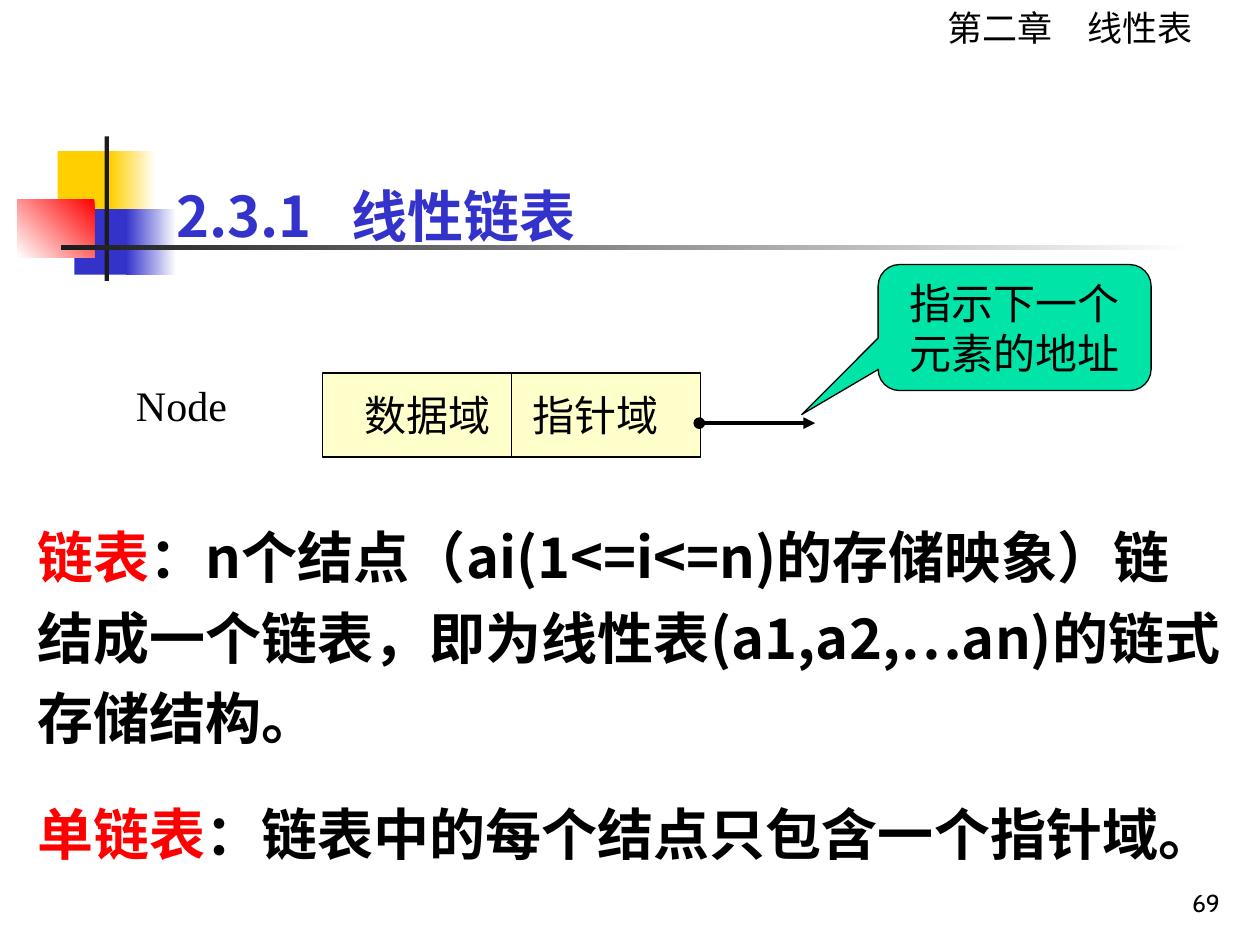
from lxml.etree import SubElement as Sub
from pptx import Presentation
from pptx.dml.color import RGBColor
from pptx.enum.shapes import MSO_CONNECTOR as Conn, MSO_SHAPE as Kind
from pptx.enum.text import MSO_ANCHOR as Anchor, PP_ALIGN as Align
from pptx.oxml.ns import qn
from pptx.util import Pt

SANS = "Noto Sans CJK SC"
SERIF = "Times New Roman"
BLACK, WHITE, RED, BLUE = "000000", "FFFFFF", "FF0000", "3333CC"
GOLD, DARK = "FFCF01", "1C1C1C"


def color(code):
    return RGBColor.from_string(code)


def place(box):
    return [Pt(n) for n in box]


def add_shape(slide, box, fill, line=None, kind=Kind.RECTANGLE):
    shape = slide.shapes.add_shape(kind, *place(box))
    shape.shadow.inherit = False
    shape.fill.solid()
    shape.fill.fore_color.rgb = color(fill)
    if line:
        shape.line.color.rgb = color(line)
        shape.line.width = Pt(0.75)
    else:
        shape.line.fill.background()
    return shape


def add_fade(slide, box, start, end, angle=180):
    fill = add_shape(slide, box, start).fill
    fill.gradient()
    fill.gradient_angle = angle
    for stop, code in zip(fill.gradient_stops, (start, end)):
        stop.color.rgb = color(code)


def add_line(slide, start, end, width, ends=()):
    line = slide.shapes.add_connector(Conn.STRAIGHT, *place(start + end))
    line.line.color.rgb = color(BLACK)
    line.line.width = Pt(width)
    for tag, style in ends:
        Sub(line.line._get_or_add_ln(), qn(tag), type=style)
    Sub(line._element.spPr, qn("a:effectLst"))


def style(para, size, font, code=BLACK, bold=False, align=Align.LEFT):
    para.alignment = align
    para.font.size = Pt(size)
    para.font.name = font
    para.font.bold = bold
    para.font.color.rgb = color(code)


def add_text(slide, box, text, *look, anchor=Anchor.TOP, **more):
    frame = slide.shapes.add_textbox(*place(box)).text_frame
    frame.word_wrap = True
    frame.vertical_anchor = anchor
    para = frame.paragraphs[0]
    para.text = text
    style(para, *look, **more)
    return para


def label(shape, text, anchor, wrap):
    frame = shape.text_frame
    frame.word_wrap = wrap
    frame.vertical_anchor = anchor
    frame.text = text
    style(frame.paragraphs[0], 24, SERIF, align=Align.CENTER)


def add_terms(slide, box, terms):
    frame = slide.shapes.add_textbox(*place(box)).text_frame
    frame.word_wrap = True
    for i, (term, text) in enumerate(terms):
        para = frame.add_paragraph() if i else frame.paragraphs[0]
        para.line_spacing = 1.2
        para.space_before = Pt(20)
        style(para, 32, SANS, bold=True)
        for part, code in ((term, RED), (text, BLACK)):
            run = para.add_run()
            run.text = part
            run.font.color.rgb = color(code)


def add_motif(slide):
    add_shape(slide, (33, 86.4, 34.5, 37.4), GOLD)
    add_fade(slide, (63, 86.4, 26, 37.4), WHITE, GOLD)
    add_shape(slide, (42.5, 119.5, 33, 37.4), BLUE)
    add_fade(slide, (72, 119.5, 28.8, 37.4), WHITE, BLUE)
    add_fade(slide, (10, 113.8, 44, 33.2), RED, WHITE, 225)
    add_shape(slide, (59.8, 78, 2.5, 82.5), DARK)
    add_fade(slide, (34.6, 140.2, 648, 2.5), WHITE, DARK)


def add_node(slide):
    left, top, width, high = 184.3, 213.2, 216, 48
    node = add_shape(slide, (left, top, width, high), "FFFFCC", BLACK)
    label(node, "数据域　指针域", Anchor.MIDDLE, False)
    mid = left + width / 2
    add_line(slide, (mid, top), (mid, top + high), 0.75)
    add_text(slide, (70.6, top, 90, 36), "Node", 24, SERIF)
    note = add_shape(slide, (501.8, 151.2, 156, 72), "00E4A8", BLACK,
                     Kind.ROUNDED_RECTANGULAR_CALLOUT)
    for i, value in enumerate((-0.78, 0.69, 0.17)):
        note.adjustments[i] = value
    label(note, "指示下一个元素的地址", Anchor.TOP, True)
    add_line(slide, (399.6, 241.8), (465.8, 241.8), 2.25,
             (("a:headEnd", "oval"), ("a:tailEnd", "triangle")))


def main():
    deck = Presentation()
    deck.slide_width, deck.slide_height = Pt(720), Pt(540)
    slide = deck.slides.add_slide(deck.slide_layouts[6])
    add_motif(slide)
    add_text(slide, (534.2, 0, 185.8, 31.7), "第二章　线性表", 20, SANS)
    title = add_text(slide, (93.6, 100, 492, 46), "2.3.1\t线性链表",
                     32, SANS, BLUE, True)
    tabs = Sub(title._p.get_or_add_pPr(), qn("a:tabLst"))
    Sub(tabs, qn("a:tab"), pos=str(Pt(100)), algn="l")
    props = title._p.pPr
    props.insert(0, tabs)
    add_node(slide)
    add_terms(slide, (14.4, 287.3, 692, 211.7), (
        ("链表", "：n个结点（ai(1<=i<=n)的存储映象）链结成一个链表，"
                 "即为线性表(a1,a2,…an)的链式存储结构。"),
        ("单链表", "：链表中的每个结点只包含一个指针域。")))
    add_text(slide, (554.4, 491.8, 149.8, 36), "69", 14, "Cabin",
             align=Align.RIGHT, anchor=Anchor.BOTTOM)
    deck.save("out.pptx")


if __name__ == "__main__":
    main()
